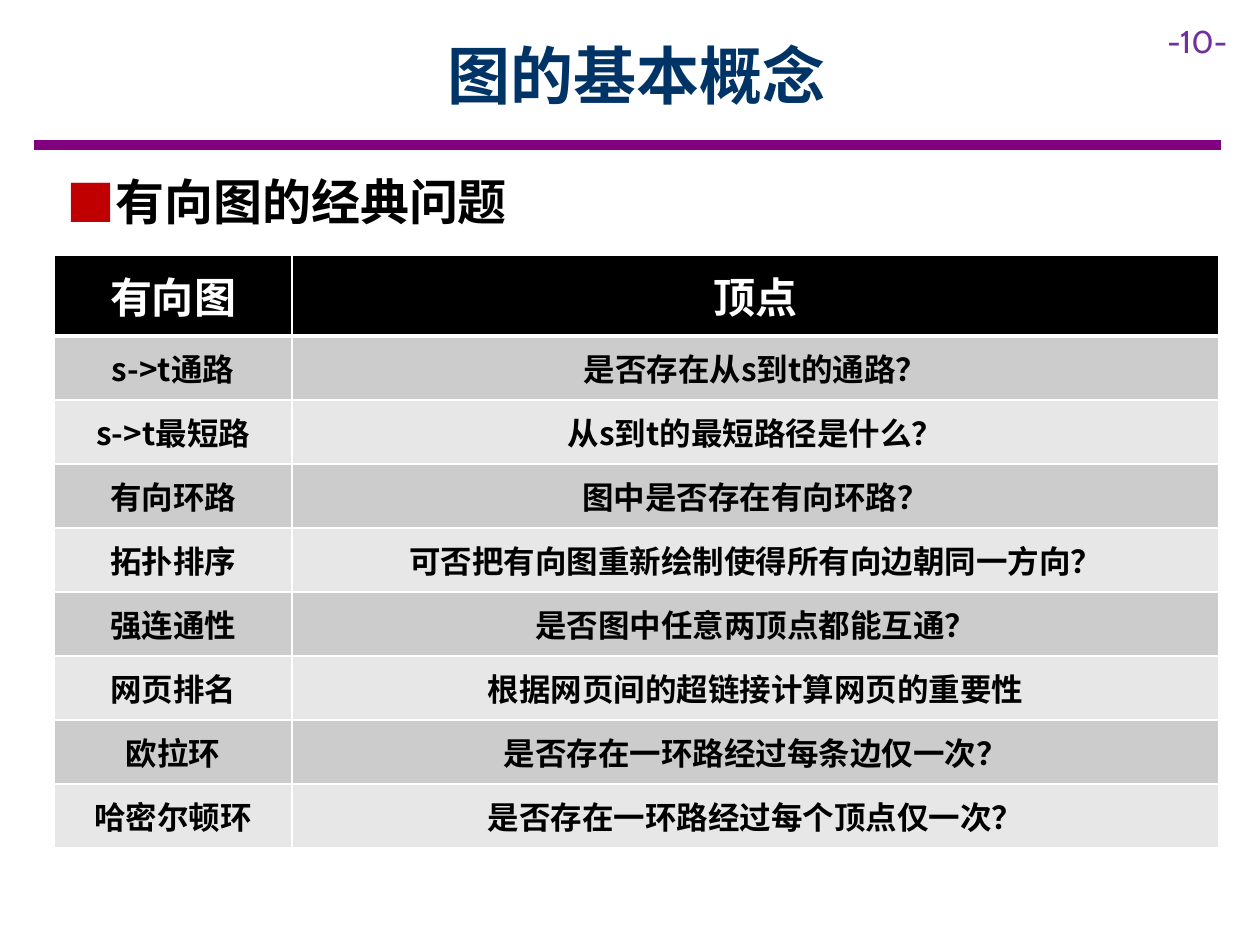
from pptx import Presentation
from pptx.dml.color import RGBColor
from pptx.enum.shapes import MSO_CONNECTOR
from pptx.enum.text import MSO_ANCHOR, MSO_AUTO_SIZE, PP_ALIGN
from pptx.oxml.ns import qn
from pptx.util import Emu, Pt
from lxml.etree import SubElement

LEFT, CENTER = PP_ALIGN.LEFT, PP_ALIGN.CENTER
TOP, MIDDLE = MSO_ANCHOR.TOP, MSO_ANCHOR.MIDDLE
STRAIGHT = MSO_CONNECTOR.STRAIGHT
NO_RESIZE = MSO_AUTO_SIZE.NONE

WHITE = RGBColor(0xFF, 0xFF, 0xFF)
BLACK = RGBColor(0x00, 0x00, 0x00)
NAVY = RGBColor(0x00, 0x33, 0x66)
PURPLE = RGBColor(0x80, 0x00, 0x80)
VIOLET = RGBColor(0x70, 0x30, 0xA0)
RED = RGBColor(0xC0, 0x00, 0x00)
DARK_BAND = RGBColor(0xCC, 0xCC, 0xCC)
LIGHT_BAND = RGBColor(0xE7, 0xE7, 0xE7)

CHINESE = "Noto Sans CJK SC"
PX = 914400 / 126

PROBLEMS = [
    ("有向图", "顶点"),
    ("s->t通路", "是否存在从s到t的通路？"),
    ("s->t最短路", "从s到t的最短路径是什么？"),
    ("有向环路", "图中是否存在有向环路？"),
    ("拓扑排序", "可否把有向图重新绘制使得所有向边朝同一方向？"),
    ("强连通性", "是否图中任意两顶点都能互通？"),
    ("网页排名", "根据网页间的超链接计算网页的重要性"),
    ("欧拉环", "是否存在一环路经过每条边仅一次？"),
    ("哈密尔顿环", "是否存在一环路经过每个顶点仅一次？"),
]


def px(length):
    return Emu(round(length * PX))


def write(frame, text, size, color, font=CHINESE, bold=True, align=CENTER):
    para = frame.paragraphs[0]
    para.alignment = align
    para.space_before = Pt(0)
    span = para.add_run()
    span.text = text
    span.font.size, span.font.bold = Pt(size), bold
    span.font.name, span.font.color.rgb = font, color
    SubElement(span.font._element, qn("a:ea"), typeface=font)
    return para


class SlideBuilder:
    """Holds the style and the current slide, with a method for each kind of element."""

    def __init__(self, deck):
        self.slide = deck.slides.add_slide(deck.slide_layouts[1])

    def place(self, box, left, top, width, height, anchor):
        box.left, box.top, box.width, box.height = map(px, (left, top, width, height))
        box.text_frame.auto_size = NO_RESIZE
        box.text_frame.word_wrap = True
        box.text_frame.vertical_anchor = anchor
        return box.text_frame

    def title(self, text, *area):
        frame = self.place(self.slide.shapes.title, *area, MIDDLE)
        write(frame, text, 36, NAVY)

    def bullet(self, text, *area):
        frame = self.place(self.slide.placeholders[1], *area, TOP)
        para = write(frame, text, 28, BLACK, align=LEFT)
        para.space_after = Pt(3)
        props = para._p.get_or_add_pPr()
        props.set("marL", str(px(48)))
        props.set("indent", str(px(-48)))
        color = SubElement(props, qn("a:buClr"))
        SubElement(color, qn("a:srgbClr"), val=str(RED))
        SubElement(props, qn("a:buFont"), typeface=CHINESE)
        SubElement(props, qn("a:buChar"), char="■")

    def page_number(self, text, *area):
        box = self.slide.shapes.add_textbox(0, 0, 0, 0)
        frame = self.place(box, *area, TOP)
        write(frame, text, 18, VIOLET, font="Cabin", bold=False, align=LEFT)

    def rule(self, left, right, y):
        line = self.slide.shapes.add_connector(STRAIGHT, px(left), px(y), px(right), px(y))
        line.line.color.rgb, line.line.width = PURPLE, Pt(6)
        SubElement(line._element.spPr, qn("a:effectLst"))

    def borders(self, cell, widths):
        props = cell._tc.get_or_add_tcPr()
        for side, width in widths.items():
            edge = SubElement(props, qn(f"a:ln{side}"), w=str(Pt(width)))
            fill = SubElement(edge, qn("a:solidFill"))
            SubElement(fill, qn("a:srgbClr"), val=str(WHITE))

    def table(self, rows, left, top, widths, header_height, row_height):
        heights = [header_height] + [row_height] * (len(rows) - 1)
        grid = self.slide.shapes.add_table(
            len(rows), len(widths), px(left), px(top), px(sum(widths)), px(sum(heights))
        ).table
        for column, width in zip(grid.columns, widths):
            column.width = px(width)
        for index, (row, height, texts) in enumerate(zip(grid.rows, heights, rows)):
            row.height = px(height)
            header = index == 0
            band = BLACK if header else DARK_BAND if index % 2 else LIGHT_BAND
            edges = {"L": 1, "R": 1, "T": 3 if index == 1 else 1, "B": 3 if header else 1}
            for cell, text in zip(row.cells, texts):
                self.borders(cell, edges)
                cell.fill.solid()
                cell.fill.fore_color.rgb = band
                cell.vertical_anchor = MIDDLE
                write(cell.text_frame, text, 24 if header else 18, WHITE if header else BLACK)


def main():
    deck = Presentation()
    deck.slide_width, deck.slide_height = px(1260), px(945)
    page = SlideBuilder(deck)
    page.rule(34, 1221, 145)
    page.page_number("-10-", 1155, 16, 105, 50)
    page.title("图的基本概念", 113, 11, 1047, 126)
    page.table(PROBLEMS, 54, 255, (238, 927), 81, 64)
    page.bullet("有向图的经典问题", 54, 165, 714, 72)
    deck.save("out.pptx")


if __name__ == "__main__":
    main()
